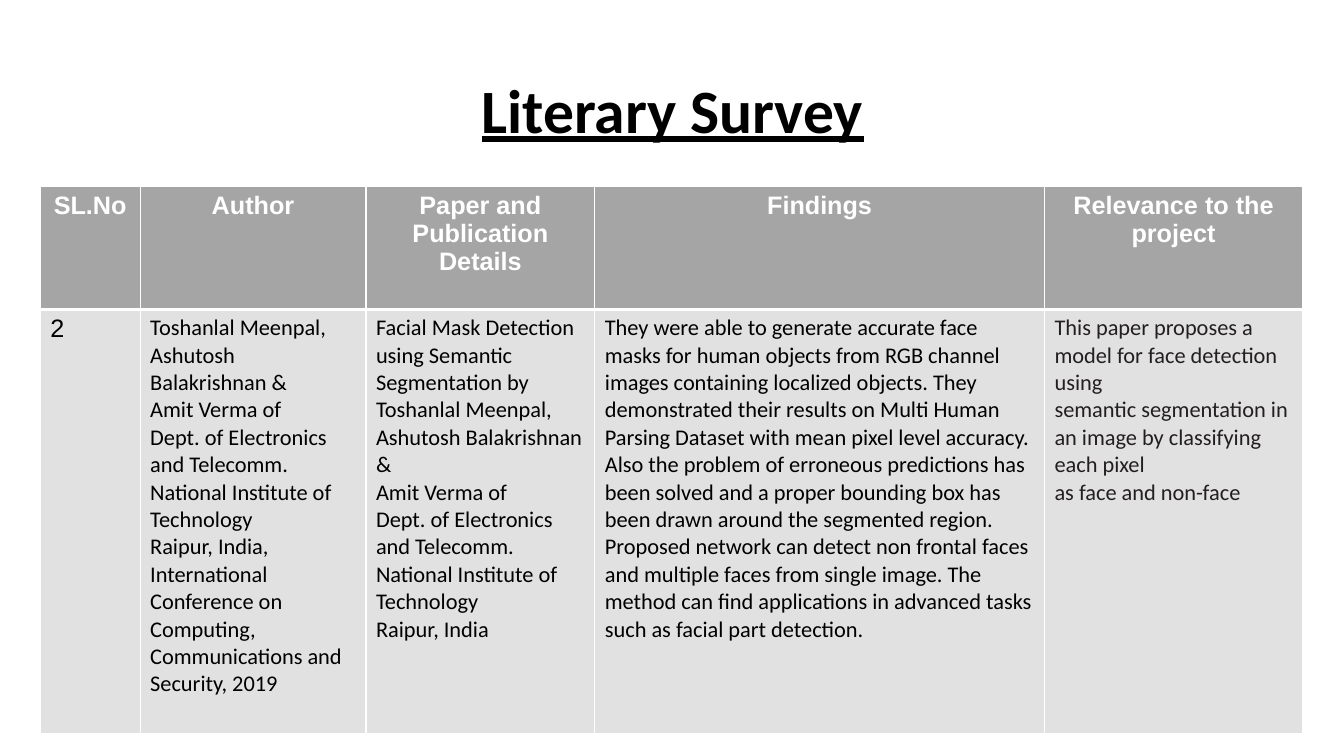
import pptx
import pptx.util
import pptx.dml.color
import pptx.enum.text
import pptx.oxml
import pptx.oxml.ns

WIDTH, HEIGHT = 13.33, 7.5
COLORS = {"ink": "000000", "soft_ink": "231F20", "white": "FFFFFF",
          "header": "A5A5A5", "body": "E1E1E1"}
COLUMNS = [0.99, 2.24, 2.27, 4.46, 2.56]
ROWS = [1.22, 4.21]
TABLE_LEFT, TABLE_TOP = 0.4, 1.85

HEADINGS = ["SL.No", "Author", "Paper and Publication Details",
            "Findings", "Relevance to the project"]
AFFILIATION = ["Ashutosh Balakrishnan &", "Amit Verma of",
               "Dept. of Electronics and Telecomm.",
               "National Institute of Technology"]
# Each entry lists the paragraphs of one cell
SURVEY = [
    ["2"],
    ["Toshanlal Meenpal,", *AFFILIATION,
     "Raipur, India, International Conference on Computing, "
     "Communications and Security, 2019"],
    ["Facial Mask Detection using Semantic Segmentation by Toshanlal Meenpal,",
     *AFFILIATION, "Raipur, India"],
    ["They were able to generate accurate face masks for human objects from "
     "RGB channel images containing localized objects. They demonstrated "
     "their results on Multi Human Parsing Dataset with mean pixel level "
     "accuracy. Also the problem of erroneous predictions has been solved and "
     "a proper bounding box has been drawn around the segmented region. "
     "Proposed network can detect non frontal faces and multiple faces from "
     "single image. The method can ﬁnd applications in advanced tasks such "
     "as facial part detection."],
    ["This paper proposes a model for face detection using",
     "semantic segmentation in an image by classifying each pixel",
     "as face and non-face"],
]


def color(name):
    return pptx.dml.color.RGBColor.from_string(COLORS[name])


def write(frame, lines, font, size, ink, bold=False, underline=False,
          centered=False):
    frame.word_wrap = True
    frame.text = "\n".join(lines)
    for para in frame.paragraphs:
        if centered:
            para.alignment = pptx.enum.text.PP_ALIGN.CENTER
        for span in para.runs:
            span.font.name = font
            span.font.size = pptx.util.Pt(size)
            span.font.bold = bold
            span.font.underline = underline
            span.font.color.rgb = color(ink)


def add_title(page, title):
    box = page.shapes.add_textbox(*map(pptx.util.Inches, (
        0.069 * WIDTH, 0.053 * HEIGHT, 0.863 * WIDTH, 0.193 * HEIGHT)))
    write(box.text_frame, [title], "Calibri", 44, "ink", bold=True,
          underline=True, centered=True)
    box.text_frame.vertical_anchor = pptx.enum.text.MSO_ANCHOR.MIDDLE
    box.text_frame.paragraphs[0].line_spacing = 0.9


def style_cell(cell, fill, top, bottom):
    cell.fill.solid()
    cell.fill.fore_color.rgb = color(fill)
    # Cell borders go ahead of the fill
    properties = cell._tc.get_or_add_tcPr()
    widths = {"lnL": 1, "lnR": 1, "lnT": top, "lnB": bottom}
    for place, (side, width) in enumerate(widths.items()):
        properties.insert(place, pptx.oxml.parse_xml(
            f'<a:{side} {pptx.oxml.ns.nsdecls("a")} w="{pptx.util.Pt(width)}">'
            f'<a:solidFill><a:srgbClr val="{COLORS["white"]}"/></a:solidFill>'
            f'</a:{side}>'))


def add_survey_table(page):
    frame = page.shapes.add_table(
        len(ROWS), len(COLUMNS), *map(pptx.util.Inches, (
            TABLE_LEFT, TABLE_TOP, sum(COLUMNS), sum(ROWS))))
    table = frame.table
    for column, width in zip(table.columns, COLUMNS):
        column.width = pptx.util.Inches(width)
    for row, height in zip(table.rows, ROWS):
        row.height = pptx.util.Inches(height)

    for index, (heading, lines) in enumerate(zip(HEADINGS, SURVEY)):
        # Header row
        cell = table.cell(0, index)
        write(cell.text_frame, [heading], "Arial", 18, "white", bold=True,
              centered=True)
        style_cell(cell, "header", top=1, bottom=3)

        # Body row: the number is set like the header, the rest smaller
        cell = table.cell(1, index)
        font, size = ("Arial", 18) if index == 0 else ("Calibri", 16)
        ink = "soft_ink" if index == len(COLUMNS) - 1 else "ink"
        write(cell.text_frame, lines, font, size, ink)
        style_cell(cell, "body", top=3, bottom=1)


def main():
    deck = pptx.Presentation()
    deck.slide_width = pptx.util.Inches(WIDTH)
    deck.slide_height = pptx.util.Inches(HEIGHT)
    page = deck.slides.add_slide(deck.slide_layouts[6])
    add_title(page, "Literary Survey")
    add_survey_table(page)
    deck.save("out.pptx")


if __name__ == "__main__":
    main()
